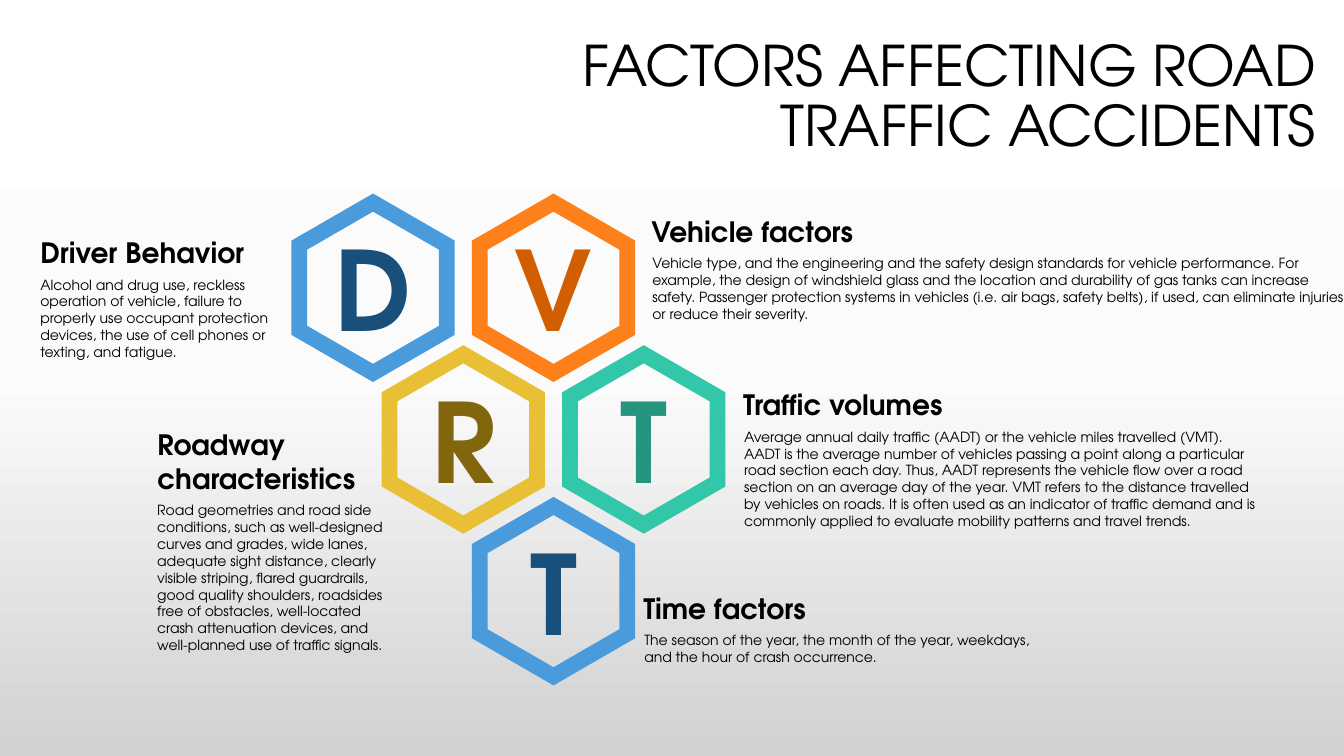
import copy
import math
from dataclasses import dataclass

import pptx
import pptx.dml.color
import pptx.enum.text
import pptx.oxml.ns
import pptx.shapes.autoshape
import pptx.slide
import pptx.text.text
import pptx.util
from pptx.util import Inches

ANCHOR = pptx.enum.text.MSO_ANCHOR
ALIGN = pptx.enum.text.PP_ALIGN


@dataclass(frozen=True)
class Theme:
    font: str = "TeX Gyre Adventor"
    text: str = "000000"
    blue: str = "4A9BDC"
    dark_blue: str = "184F7B"
    orange: str = "FE801A"
    dark_orange: str = "D15E01"
    yellow: str = "E9BF35"
    dark_yellow: str = "81660E"
    green: str = "32C7A9"
    dark_green: str = "26957F"
    background: tuple[tuple[float, str], ...] = ((0, "FFFFFF"), (0.5, "FBFBFB"), (1, "D1D1D1"))
    title_size: float = 40
    letter_size: float = 78.8
    heading_size: float = 20
    body_size: float = 10


@dataclass(frozen=True)
class Hexagon:
    letter: str
    column: int  # in half pitches
    row: int
    ring_color: str
    letter_color: str


@dataclass(frozen=True)
class Box:
    left: float
    top: float
    width: float
    height: float


@dataclass(frozen=True)
class Factor:
    heading: str
    heading_box: Box
    body: str
    body_left: float
    body_width: float
    body_height: float


THEME = Theme()

# Honeycomb geometry in inches
FIRST_CENTER_X, FIRST_CENTER_Y = 3.7, 2.855
COLUMN_STEP, ROW_STEP = 1.79 / 2, 3.01 / 2
OUTER_RADIUS, INNER_RADIUS = 1.87 / 2, 1.51 / 2
HEADING_OVERLAP = 0.03

HEXAGONS = [
    Hexagon("D", 0, 0, THEME.blue, THEME.dark_blue),
    Hexagon("V", 2, 0, THEME.orange, THEME.dark_orange),
    Hexagon("R", 1, 1, THEME.yellow, THEME.dark_yellow),
    Hexagon("T", 3, 1, THEME.green, THEME.dark_green),
    Hexagon("T", 2, 2, THEME.blue, THEME.dark_blue),
]

FACTORS = [
    Factor("Traffic volumes", Box(7.37, 3.79, 5.31, 0.44),
           "Average annual daily traffic (AADT) or the vehicle miles travelled (VMT). AADT is the "
           "average number of vehicles passing a point along a particular road section each day. "
           "Thus, AADT represents the vehicle flow over a road section on an average day of the "
           "year. VMT refers to the distance travelled by vehicles on roads. It is often used as "
           "an indicator of traffic demand and is commonly applied to evaluate mobility patterns "
           "and travel trends.", 7.38, 5.13, 2.29),
    Factor("Roadway characteristics", Box(1.56, 4.19, 2.41, 0.77),
           "Road geometries and road side conditions, such as well-designed curves and grades, "
           "wide lanes, adequate sight distance, clearly visible striping, flared guardrails, "
           "good quality shoulders, roadsides free of obstacles, well-located crash attenuation "
           "devices, and well-planned use of traffic signals.", 1.56, 2.4, 1.62),
    Factor("Vehicle factors", Box(6.46, 2.07, 5.88, 0.44),
           "Vehicle type, and the engineering and the safety design standards for vehicle "
           "performance. For example, the design of windshield glass and the location and "
           "durability of gas tanks can increase safety. Passenger protection systems in vehicles "
           "(i.e. air bags, safety belts), if used, can eliminate injuries or reduce their "
           "severity.", 6.47, 6.86, 1.11),
    Factor("Driver Behavior", Box(0.4, 2.28, 2.41, 0.44),
           "Alcohol and drug use, reckless operation of vehicle, failure to properly use occupant "
           "protection devices, the use of cell phones or texting, and fatigue.", 0.4, 2.4, 0.94),
    Factor("Time factors", Box(6.38, 5.81, 2.49, 0.44),
           "The season of the year, the month of the year, weekdays, and the hour of crash "
           "occurrence.", 6.39, 3.89, 0.44),
]


def rgb(color: str) -> pptx.dml.color.RGBColor:
    return pptx.dml.color.RGBColor.from_string(color)


def set_margins(frame: pptx.text.text.TextFrame, horizontal: float, vertical: float) -> None:
    frame.margin_left = frame.margin_right = Inches(horizontal)
    frame.margin_top = frame.margin_bottom = Inches(vertical)


def write(frame: pptx.text.text.TextFrame, text: str, size: float, color: str,
          bold: bool, align: ALIGN) -> None:
    paragraph = frame.paragraphs[0]
    paragraph.text = text
    paragraph.alignment = align
    font = paragraph.font
    font.name, font.size, font.bold = THEME.font, pptx.util.Pt(size), bold
    font.color.rgb = rgb(color)


def paint_background(slide: pptx.slide.Slide) -> None:
    fill = slide.background.fill
    fill.gradient()
    fill.gradient_angle = 270
    # The default gradient has two stops; add one for the middle
    stop_list = next(slide.element.iter(pptx.oxml.ns.qn("a:gsLst")))
    stop_list.append(copy.deepcopy(stop_list[-1]))
    for stop, (position, color) in zip(fill.gradient_stops, THEME.background):
        stop.position = position
        stop.color.rgb = rgb(color)


def add_text(slide: pptx.slide.Slide, box: Box, text: str, size: float, bold: bool = False,
             anchor: ANCHOR = ANCHOR.TOP, align: ALIGN = ALIGN.LEFT,
             margin: float = 0, grow: bool = True) -> pptx.shapes.autoshape.Shape:
    shape = slide.shapes.add_textbox(
        Inches(box.left), Inches(box.top), Inches(box.width), Inches(box.height))
    frame = shape.text_frame
    frame.word_wrap = True
    frame.vertical_anchor = anchor
    auto_size = pptx.enum.text.MSO_AUTO_SIZE
    frame.auto_size = auto_size.SHAPE_TO_FIT_TEXT if grow else auto_size.NONE
    set_margins(frame, margin, 0.05)
    write(frame, text, size, THEME.text, bold, align)
    return shape


def hexagon_points(center_x: float, center_y: float, radius: float) -> list[tuple[int, int]]:
    angles = [math.radians(-90 - 60 * corner) for corner in range(6)]
    return [(Inches(center_x + radius * math.cos(angle)),
             Inches(center_y + radius * math.sin(angle))) for angle in angles]


def add_hexagon(slide: pptx.slide.Slide, hexagon: Hexagon) -> None:
    center_x = FIRST_CENTER_X + hexagon.column * COLUMN_STEP
    center_y = FIRST_CENTER_Y + hexagon.row * ROW_STEP
    outer = hexagon_points(center_x, center_y, OUTER_RADIUS)
    inner = hexagon_points(center_x, center_y, INNER_RADIUS)
    builder = slide.shapes.build_freeform(*outer[0])
    builder.add_line_segments(outer[1:], close=True)
    builder.move_to(*inner[0])
    builder.add_line_segments(inner[1:], close=True)
    shape = builder.convert_to_shape()
    shape.shadow.inherit = False
    shape.fill.solid()
    shape.fill.fore_color.rgb = rgb(hexagon.ring_color)
    shape.line.fill.background()
    frame = shape.text_frame
    frame.vertical_anchor = ANCHOR.MIDDLE
    set_margins(frame, 0.07, 0.04)
    write(frame, hexagon.letter, THEME.letter_size, hexagon.letter_color, True, ALIGN.CENTER)


def add_factor(slide: pptx.slide.Slide, factor: Factor) -> None:
    heading_box = factor.heading_box
    add_text(slide, heading_box, factor.heading, THEME.heading_size, True, ANCHOR.BOTTOM)
    body_top = heading_box.top + heading_box.height - HEADING_OVERLAP
    body_box = Box(factor.body_left, body_top, factor.body_width, factor.body_height)
    add_text(slide, body_box, factor.body, THEME.body_size)


def main() -> None:
    presentation = pptx.Presentation()
    presentation.slide_width, presentation.slide_height = Inches(13.33), Inches(7.5)
    slide = presentation.slides.add_slide(presentation.slide_layouts[6])
    paint_background(slide)

    # Title
    title = add_text(slide, Box(3.73, 0.27, 9.42, 1.41),
                     "FACTORS AFFECTING ROAD TRAFFIC ACCIDENTS", THEME.title_size,
                     anchor=ANCHOR.MIDDLE, align=ALIGN.RIGHT, margin=0.1, grow=False)
    title.text_frame.paragraphs[0].line_spacing = 0.9

    # Honeycomb and its explanations
    for hexagon in HEXAGONS:
        add_hexagon(slide, hexagon)
    for factor in FACTORS:
        add_factor(slide, factor)

    presentation.save("out.pptx")


if __name__ == "__main__":
    main()
